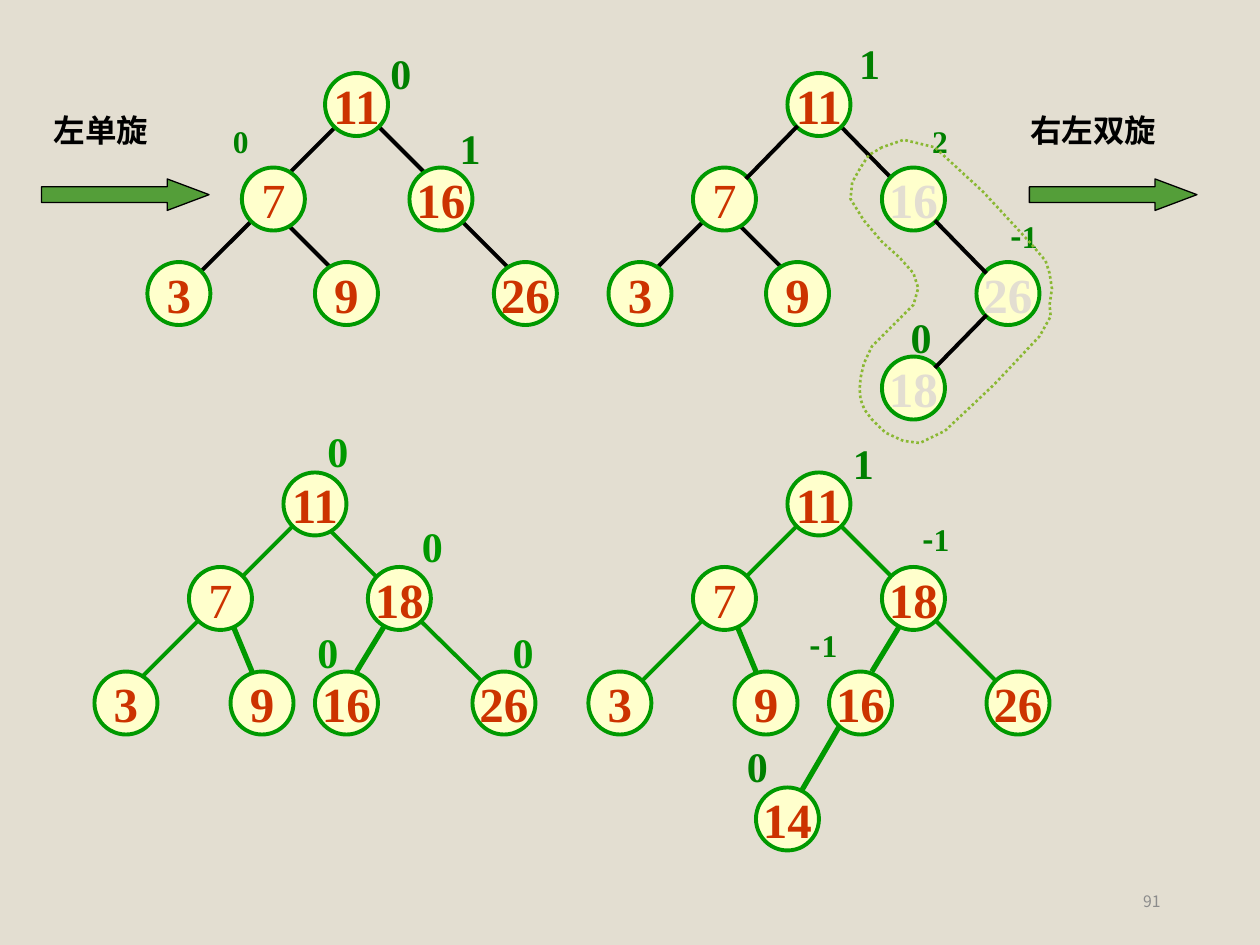
from dataclasses import dataclass

from lxml.etree import SubElement
from pptx import Presentation
from pptx.dml.color import RGBColor
from pptx.enum.dml import MSO_LINE
from pptx.enum.shapes import MSO_CONNECTOR, MSO_SHAPE
from pptx.enum.text import MSO_ANCHOR, MSO_AUTO_SIZE, PP_ALIGN
from pptx.oxml.ns import qn
from pptx.util import Inches, Pt


@dataclass(frozen=True)
class Theme:
    back: str = "E3DED1"
    node: str = "FFFFCC"
    ring: str = "009900"
    key: str = "CC3300"
    mark: str = "008000"
    arrow: str = "549E39"
    loop: str = "8AB833"
    ink: str = "000000"
    faint: str = "8C8C8C"
    serif: str = "Times New Roman"
    sans: str = "Noto Sans CJK SC"
    big: int = 28
    mid: int = 24
    small: int = 18
    tiny: int = 9
    line: float = 2.25
    thick: float = 3


class Board:
    def __init__(self, slide, theme):
        self.slide, self.theme = slide, theme
        self.shapes = slide.shapes
        slide.background.fill.solid()
        slide.background.fill.fore_color.rgb = RGBColor.from_string(theme.back)

    def paint(self, shape, fill, line, width):
        shape.shadow.inherit = False
        shape.fill.solid()
        shape.fill.fore_color.rgb = RGBColor.from_string(fill)
        self.stroke(shape, line, width)

    def stroke(self, shape, color, width):
        shape.line.color.rgb = RGBColor.from_string(color)
        shape.line.width = Pt(width)

    def run(self, para, text, size, color, bold=True, face=None):
        run = para.add_run()
        run.text = text
        font = run.font
        font.size, font.bold, font.name = Pt(size), bold, face or self.theme.serif
        font.color.rgb = RGBColor.from_string(color)

    def edge(self, x1, y1, x2, y2, color, width):
        line = self.shapes.add_connector(
            MSO_CONNECTOR.STRAIGHT, Inches(x1), Inches(y1), Inches(x2), Inches(y2))
        self.stroke(line, color, width)
        SubElement(line._element.spPr, qn("a:effectLst"))

    def node(self, x, y, key, color):
        t = self.theme
        disc = self.shapes.add_shape(
            MSO_SHAPE.OVAL, Inches(x), Inches(y), Inches(0.5), Inches(0.5))
        self.paint(disc, t.node, t.ring, t.line)
        frame = disc.text_frame
        frame.word_wrap = False
        frame.vertical_anchor = MSO_ANCHOR.MIDDLE
        para = frame.paragraphs[0]
        para.alignment = PP_ALIGN.CENTER
        self.run(para, key, t.big, color, key != "7")

    def box(self, x, y, w, h=0.5, wrap=False):
        frame = self.shapes.add_textbox(
            Inches(x), Inches(y), Inches(w), Inches(h)).text_frame
        frame.word_wrap = wrap
        if not wrap:
            frame.auto_size = MSO_AUTO_SIZE.SHAPE_TO_FIT_TEXT
        return frame

    def factor(self, x, y, text, size, color):
        """Add a balance factor; its minus sign is set in the sans face."""
        minus = text.startswith("-")
        para = self.box(x, y, 0.53 if minus else 0.37).paragraphs[0]
        if minus:
            self.run(para, "-", size, color, face=self.theme.sans)
        self.run(para, text.lstrip("-"), size, color)

    def tree(self, color, nodes, under, over=(), pale=()):
        t = self.theme
        for x1, y1, x2, y2, *width in under:
            self.edge(x1, y1, x2, y2, color, *(width or [t.line]))
        for x, y, key in nodes:
            self.node(x, y, key, t.back if key in pale else t.key)
        for ends in over:
            self.edge(*ends, color, t.line)

    def step(self, x, text_x, width, text):
        t = self.theme
        para = self.box(text_x, 0.83, width).paragraphs[0]
        self.run(para, text, t.small, t.ink)
        arrow = self.shapes.add_shape(
            MSO_SHAPE.RIGHT_ARROW, Inches(x), Inches(1.42), Inches(1.33), Inches(0.25))
        arrow.adjustments[0], arrow.adjustments[1] = 0.5, 1.33
        self.paint(arrow, t.arrow, t.ink, 0.75)

    def loop(self, start, curves, steps=2):
        """Draw a closed dotted outline through cubic curves cut into short sides."""
        pts, p = [], start
        for x1, y1, x2, y2, x3, y3 in curves:
            ctrl = (p, (x1, y1), (x2, y2), (x3, y3))
            for i in range(1, steps + 1):
                u = i / steps
                mix = ((1 - u) ** 3, 3 * u * (1 - u) ** 2, 3 * u * u * (1 - u), u ** 3)
                pts.append(tuple(Inches(sum(m * c[k] for m, c in zip(mix, ctrl)))
                                 for k in (0, 1)))
            p = (x3, y3)
        pen = self.shapes.build_freeform(Inches(start[0]), Inches(start[1]))
        pen.add_line_segments(pts[:-1], close=True)
        shape = pen.convert_to_shape()
        shape.shadow.inherit = False
        shape.fill.background()
        self.stroke(shape, self.theme.loop, 1.5)
        shape.line.dash_style = MSO_LINE.ROUND_DOT

    def number(self, text):
        t = self.theme
        frame = self.box(7.06, 6.95, 2.25, 0.4, wrap=True)
        frame.vertical_anchor = MSO_ANCHOR.MIDDLE
        para = frame.paragraphs[0]
        para.alignment = PP_ALIGN.RIGHT
        self.run(para, text, t.tiny, t.faint, False, t.sans)


def main():
    deck = Presentation()
    deck.slide_width, deck.slide_height = Inches(10), Inches(7.5)
    t = Theme()
    board = Board(deck.slides.add_slide(deck.slide_layouts[6]), t)

    # After the single left rotation
    board.tree(
        t.ink,
        [(2.58, 0.58, "11"), (1.92, 1.33, "7"), (3.25, 1.33, "16"),
         (1.17, 2.08, "3"), (2.5, 2.08, "9"), (3.92, 2.08, "26")],
        [(2.67, 1, 2.25, 1.42), (2.92, 0.92, 3.42, 1.42), (2, 1.75, 1.58, 2.17),
         (2.25, 1.75, 2.75, 2.25), (3.58, 1.67, 4.08, 2.17)])
    # Unbalanced after 18 goes in
    board.tree(
        t.ink,
        [(6.25, 0.58, "11"), (5.5, 1.33, "7"), (7, 1.33, "16"), (4.83, 2.08, "3"),
         (6.08, 2.08, "9"), (7.75, 2.08, "26"), (7, 2.83, "18")],
        [(5.67, 1.67, 5.17, 2.17), (5.83, 1.75, 6.25, 2.17), (6.67, 1, 7.08, 1.42)],
        over=[(6.33, 1, 5.92, 1.42), (7.42, 1.75, 7.83, 2.17),
              (7.83, 2.5, 7.42, 2.92)],
        pale=("16", "26", "18"))
    # After the double rotation
    board.tree(
        t.ring,
        [(2.25, 3.75, "11"), (1.5, 4.5, "7"), (2.92, 4.5, "18"), (0.75, 5.33, "3"),
         (1.83, 5.33, "9"), (2.5, 5.33, "16"), (3.75, 5.33, "26")],
        [(2.33, 4.17, 1.92, 4.58), (2.58, 4.17, 3.08, 4.67), (1.58, 4.92, 1.08, 5.42),
         (1.83, 4.92, 2, 5.33, t.thick), (3.08, 4.92, 2.83, 5.33, t.thick),
         (3.33, 4.92, 3.92, 5.5)])
    # After 14 goes in
    board.tree(
        t.ring,
        [(6.25, 3.75, "11"), (5.5, 4.5, "7"), (7, 4.5, "18"), (4.67, 5.33, "3"),
         (5.83, 5.33, "9"), (6.58, 5.33, "16"), (7.83, 5.33, "26"), (6, 6.25, "14")],
        [(6.33, 4.17, 5.83, 4.67), (6.67, 4.17, 7.25, 4.75), (5.67, 4.83, 4.92, 5.58),
         (5.83, 4.92, 6, 5.33, t.thick), (7.17, 4.92, 6.92, 5.33, t.thick),
         (7.42, 4.92, 8, 5.5), (6.67, 5.75, 6.33, 6.33, t.thick)])

    factors = {
        (t.mid, t.mark): [(3, 0.33, "0"), (3.55, 0.92, "1"), (6.72, 0.25, "1"),
                          (7.13, 2.42, "0"), (6.67, 3.42, "1"), (5.83, 5.83, "0")],
        (t.mid, t.ring): [(2.5, 3.33, "0"), (3.25, 4.08, "0"),
                          (2.42, 4.92, "0"), (3.97, 4.92, "0")],
        (t.small, t.mark): [(1.75, 0.92, "0"), (7.3, 0.92, "2"), (7.92, 1.67, "-1"),
                            (7.22, 4.08, "-1"), (6.33, 4.92, "-1")],
    }
    for style, marks in factors.items():
        for mark in marks:
            board.factor(*mark, *style)

    board.step(0.33, 0.33, 1.21, "左单旋")
    board.step(8.17, 8.08, 1.55, "右左双旋")
    board.loop((7, 1.17), [
        (6.9, 1.19, 6.88, 1.26, 6.83, 1.33), (6.79, 1.4, 6.72, 1.49, 6.75, 1.58),
        (6.78, 1.68, 6.92, 1.82, 7, 1.92), (7.08, 2.01, 7.21, 2.08, 7.25, 2.17),
        (7.29, 2.25, 7.31, 2.32, 7.25, 2.42), (7.19, 2.51, 6.99, 2.65, 6.92, 2.75),
        (6.85, 2.85, 6.85, 2.93, 6.83, 3), (6.82, 3.07, 6.82, 3.11, 6.83, 3.17),
        (6.85, 3.22, 6.86, 3.28, 6.92, 3.33), (6.97, 3.39, 7.07, 3.49, 7.17, 3.5),
        (7.26, 3.51, 7.32, 3.56, 7.5, 3.42), (7.68, 3.28, 8.11, 2.83, 8.25, 2.67),
        (8.39, 2.5, 8.32, 2.5, 8.33, 2.42), (8.35, 2.33, 8.36, 2.25, 8.33, 2.17),
        (8.31, 2.08, 8.32, 2.08, 8.17, 1.92), (8.01, 1.75, 7.61, 1.29, 7.42, 1.17),
        (7.22, 1.04, 7.1, 1.14, 7, 1.17)])
    board.number("91")
    deck.save("out.pptx")


if __name__ == "__main__":
    main()
